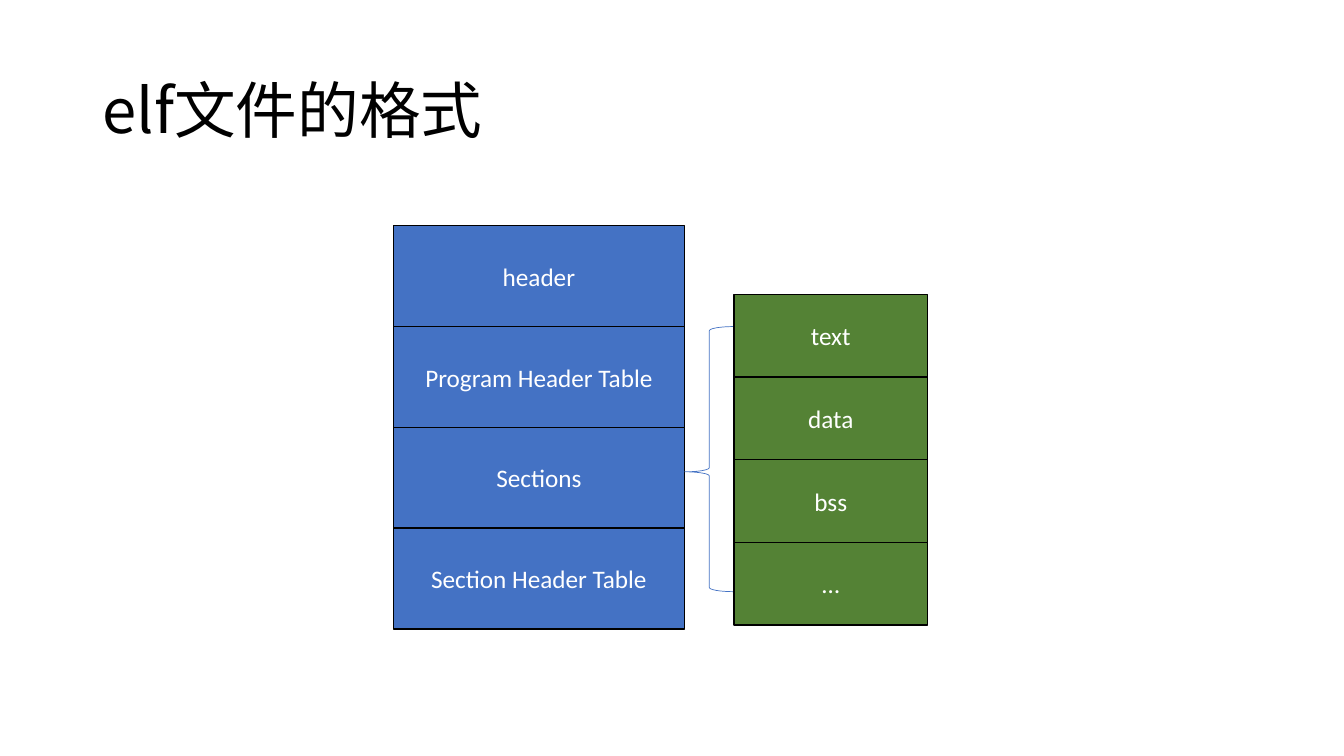
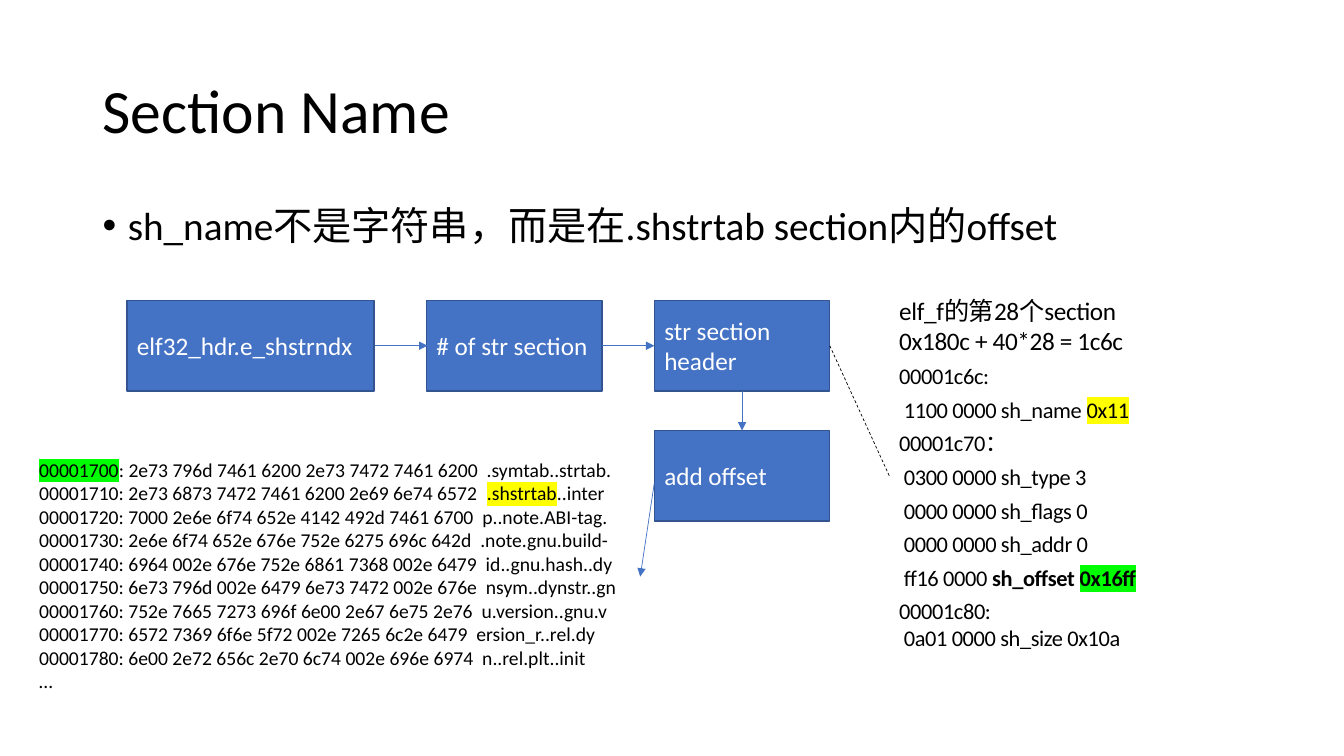
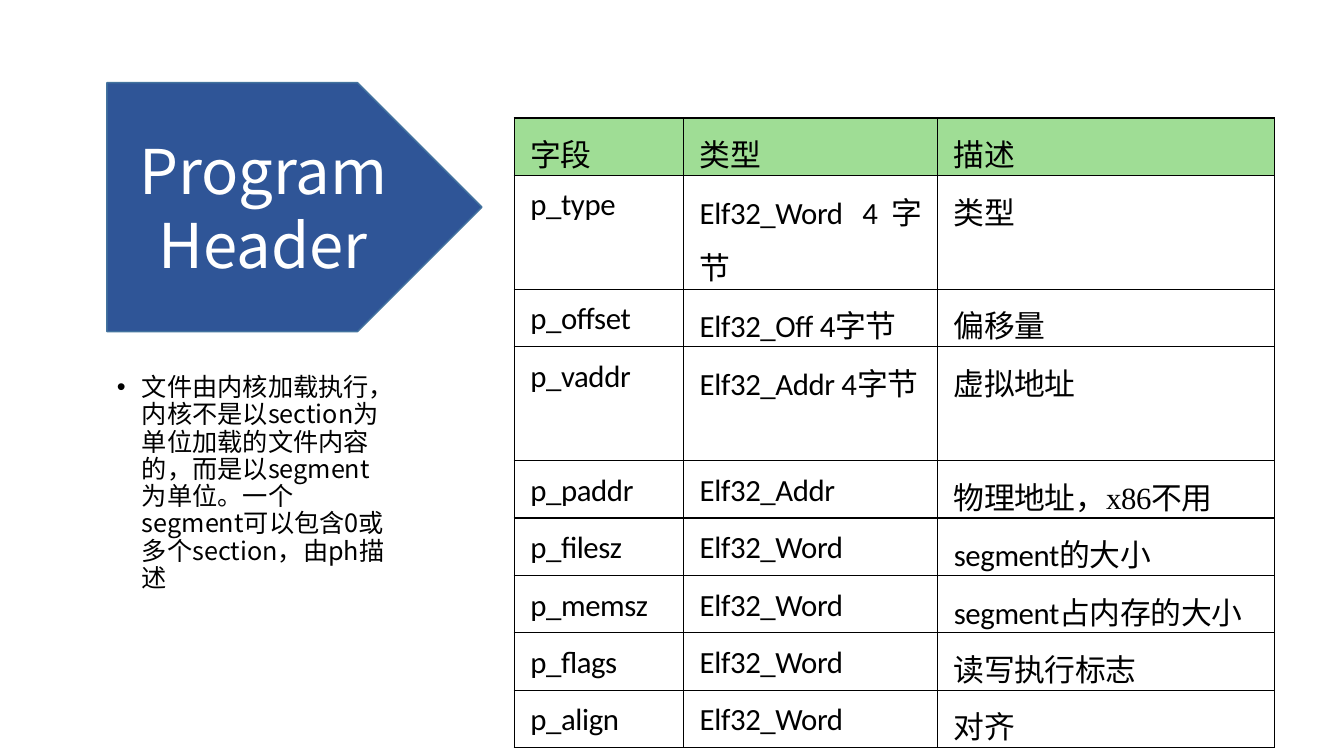
from lxml import etree
from pptx import Presentation
from pptx.dml.color import RGBColor
from pptx.enum import dml, shapes, text
from pptx.oxml import ns
from pptx.util import Inches, Pt

BLACK = RGBColor(0, 0, 0)
WHITE = RGBColor(255, 255, 255)
BLUE = RGBColor(0x44, 0x72, 0xC4)
BLUE_EDGE = RGBColor(0x32, 0x54, 0x91)
NAVY = RGBColor(0x2F, 0x55, 0x97)
NAVY_EDGE = RGBColor(0x43, 0x73, 0x9E)
GREEN = RGBColor(0x54, 0x82, 0x35)
HEADER_GREEN = RGBColor(0x9F, 0xDD, 0x95)
YELLOW = RGBColor(255, 255, 0)
LIME = RGBColor(0, 255, 0)

LATIN = "Calibri"
CJK = "Noto Sans CJK SC"
SERIF = "Times New Roman"
TIGHT = -0.25

LEFT, CENTER, JUSTIFY = text.PP_ALIGN.LEFT, text.PP_ALIGN.CENTER, text.PP_ALIGN.JUSTIFY
TOP, MIDDLE = text.MSO_ANCHOR.TOP, text.MSO_ANCHOR.MIDDLE
SHAPE = shapes.MSO_SHAPE


def add_node(parent, tag, **attributes):
    return etree.SubElement(parent, ns.qn(tag), attributes)


def add_run(paragraph, content, size=18, font=LATIN, color=BLACK, bold=False,
            highlight=None, tracking=0):
    run = paragraph.add_run()
    run.text = content
    run.font.size = Pt(size)
    run.font.bold = bold
    run.font.name = font
    run.font.color.rgb = color
    properties = run.font._element
    add_node(properties, "a:ea", typeface=CJK)
    if tracking:
        properties.set("spc", str(round(tracking * 100)))
    if highlight is not None:
        mark = etree.Element(ns.qn("a:highlight"))
        add_node(mark, "a:srgbClr", val=str(highlight))
        properties.find(ns.qn("a:solidFill")).addnext(mark)


def write_paragraph(paragraph, runs, align=LEFT, spacing=1.0, before=0, bullet=False, **style):
    paragraph.alignment = align
    paragraph.line_spacing = spacing
    paragraph.space_before = Pt(before)
    if bullet:
        properties = paragraph._p.get_or_add_pPr()
        properties.set("marL", str(Inches(0.25)))
        properties.set("indent", str(-Inches(0.25)))
        add_node(properties, "a:buFont", typeface="Arial")
        add_node(properties, "a:buChar", char="•")
    for run in [runs] if isinstance(runs, str) else runs:
        content, extra = (run, {}) if isinstance(run, str) else run
        add_run(paragraph, content, **{**style, **extra})


def write_text(frame, paragraphs, anchor=TOP, **style):
    frame.word_wrap = True
    frame.vertical_anchor = anchor
    for index, item in enumerate(paragraphs):
        runs, extra = item if isinstance(item, tuple) else (item, {})
        paragraph = frame.add_paragraph() if index else frame.paragraphs[0]
        write_paragraph(paragraph, runs, **{**style, **extra})


class Deck:
    def __init__(self):
        self.presentation = Presentation()
        self.presentation.slide_width = Inches(13.33)
        self.presentation.slide_height = Inches(7.5)
        self.slide = None

    def new_slide(self, title=None, font=LATIN):
        self.slide = self.presentation.slides.add_slide(self.presentation.slide_layouts[6])
        if title:
            self.text_box((0.92, 0.4, 11.5, 1.45), [title], size=44, font=font,
                          spacing=0.9, anchor=MIDDLE)

    def text_box(self, box, paragraphs, **style):
        shape = self.slide.shapes.add_textbox(*map(Inches, box))
        write_text(shape.text_frame, paragraphs, **style)

    def shape(self, box, kind=SHAPE.RECTANGLE, label=None, fill=None, line=BLACK,
              width=1, adjustments=(), **style):
        shape = self.slide.shapes.add_shape(kind, *map(Inches, box))
        shape.shadow.inherit = False
        if fill is None:
            shape.fill.background()
        else:
            shape.fill.solid()
            shape.fill.fore_color.rgb = fill
        shape.line.color.rgb = line
        shape.line.width = Pt(width)
        for index, value in enumerate(adjustments):
            shape.adjustments[index] = value
        if label:
            write_text(shape.text_frame, [label], anchor=MIDDLE, color=WHITE, **style)

    def stack(self, left, top, width, height, labels, fill):
        for index, label in enumerate(labels):
            self.shape((left, top + index * height, width, height), label=label,
                       fill=fill, align=CENTER)

    def line(self, start, end, color=BLUE, arrow=True, dash=None):
        connector = self.slide.shapes.add_connector(
            shapes.MSO_CONNECTOR.STRAIGHT, *map(Inches, (*start, *end)))
        connector.line.color.rgb = color
        connector.line.width = Pt(0.5)
        if dash:
            connector.line.dash_style = dash
        if arrow:
            add_node(connector.line._get_or_add_ln(), "a:tailEnd", type="triangle")
        add_node(connector._element.spPr, "a:effectLst")

    def table(self, left, top, column_widths, row_heights, rows):
        box = (left, top, sum(column_widths), sum(row_heights))
        frame = self.slide.shapes.add_table(len(rows), len(column_widths), *map(Inches, box))
        table = frame.table
        table.first_row = table.horz_banding = False
        for column, width in zip(table.columns, column_widths):
            column.width = Inches(width)
        for row_index, values in enumerate(rows):
            table.rows[row_index].height = Inches(row_heights[row_index])
            for column_index, value in enumerate(values):
                self.cell(table.cell(row_index, column_index), value, header=row_index == 0)

    def cell(self, cell, value, header):
        cell.margin_left = cell.margin_right = Inches(0.16)
        cell.margin_top, cell.margin_bottom = Inches(0.02), 0
        for side in ("a:lnL", "a:lnR", "a:lnT", "a:lnB"):
            border = add_node(cell._tc.get_or_add_tcPr(), side, w=str(Pt(1)))
            add_node(add_node(border, "a:solidFill"), "a:srgbClr", val=str(BLACK))
        if header:
            cell.fill.solid()
            cell.fill.fore_color.rgb = HEADER_GREEN
        else:
            cell.fill.background()
        write_paragraph(cell.text_frame.paragraphs[0], value, align=JUSTIFY, spacing=1.25,
                        size=22, tracking=TIGHT, font=LATIN if value[0].isascii() else SERIF)


def build_file_format(deck):
    deck.new_slide("elf文件的格式", font=CJK)
    deck.stack(3.9, 2.24, 2.89, 1,
               ["header", "Program Header Table", "Sections", "Section Header Table"], BLUE)
    deck.shape((6.79, 3.24, 0.49, 2.63), SHAPE.LEFT_BRACE, line=BLUE, width=0.5,
               adjustments=(0.083, 0.548))
    deck.stack(7.28, 2.92, 1.92, 0.82, ["text", "data", "bss", "…"], GREEN)


def build_section_name(deck):
    deck.new_slide("Section Name")
    deck.text_box((0.92, 2, 11.5, 0.64),
                  ["sh_name不是字符串，而是在.shstrtab section内的offset"],
                  size=28, spacing=0.9, before=10, bullet=True)

    steps = [
        (1.26, 2.98, 2.45, "elf32_hdr.e_shstrndx"),
        (4.23, 2.98, 1.74, "# of str section"),
        (6.49, 2.98, 1.74, "str section header"),
        (6.49, 4.27, 1.74, "add offset"),
    ]
    for left, top, width, label in steps:
        deck.shape((left, top, width, 0.9), label=label, fill=BLUE, line=BLUE_EDGE)

    header_fields = [
        "00001c6c:",
        [" 1100 0000 sh_name ", ("0x11", {"highlight": YELLOW})],
        "00001c70：",
        " 0300 0000 sh_type 3",
        " 0000 0000 sh_flags 0",
        " 0000 0000 sh_addr 0",
        [" ff16 0000 ", ("sh_offset ", {"bold": True}),
         ("0x16ff", {"bold": True, "highlight": LIME})],
        "00001c80:",
    ]
    field_style = {"size": 16, "align": JUSTIFY, "spacing": 1.25}
    deck.text_box((8.82, 2.88, 2.57, 3.67), [
        "elf_f的第28个section",
        "0x180c + 40*28 = 1c6c",
        *((field, field_style) for field in header_fields),
        (" 0a01 0000 sh_size 0x10a", {"size": 16}),
    ], tracking=TIGHT)

    deck.text_box((0.29, 4.49, 6.06, 2.46), [
        [("00001700", {"highlight": LIME}),
         ": 2e73 796d 7461 6200 2e73 7472 7461 6200  .symtab..strtab."],
        ["00001710: 2e73 6873 7472 7461 6200 2e69 6e74 6572  ",
         (".shstrtab", {"highlight": YELLOW}), "..inter"],
        "00001720: 7000 2e6e 6f74 652e 4142 492d 7461 6700  p..note.ABI-tag.",
        "00001730: 2e6e 6f74 652e 676e 752e 6275 696c 642d  .note.gnu.build-",
        "00001740: 6964 002e 676e 752e 6861 7368 002e 6479  id..gnu.hash..dy",
        "00001750: 6e73 796d 002e 6479 6e73 7472 002e 676e  nsym..dynstr..gn",
        "00001760: 752e 7665 7273 696f 6e00 2e67 6e75 2e76  u.version..gnu.v",
        "00001770: 6572 7369 6f6e 5f72 002e 7265 6c2e 6479  ersion_r..rel.dy",
        "00001780: 6e00 2e72 656c 2e70 6c74 002e 696e 6974  n..rel.plt..init",
        "…",
    ], size=14)

    arrows = [
        ((3.72, 3.43), (4.24, 3.43)),
        ((5.97, 3.43), (6.49, 3.43)),
        ((7.36, 3.88), (7.36, 4.27)),
        ((6.49, 4.79), (6.35, 5.72)),
    ]
    for start, end in arrows:
        deck.line(start, end)
    deck.line((8.23, 3.43), (8.82, 4.72), color=BLACK, arrow=False,
              dash=dml.MSO_LINE.DASH)


def build_program_header(deck):
    deck.new_slide()
    deck.text_box((1.06, 3.67, 2.92, 2.65), [
        "文件由内核加载执行，内核不是以section为单位加载的文件内容的，"
        "而是以segment为单位。一个segment可以包含0或多个section，由ph描述",
    ], font=CJK, spacing=0.9, before=10, bullet=True)
    fields = [
        ("字段", "类型", "描述"),
        ("p_type", "Elf32_Word 4字节", "类型"),
        ("p_offset", "Elf32_Off 4字节", "偏移量"),
        ("p_vaddr", "Elf32_Addr 4字节", "虚拟地址"),
        ("p_paddr", "Elf32_Addr", "物理地址，x86不用"),
        ("p_filesz", "Elf32_Word", "segment的大小"),
        ("p_memsz", "Elf32_Word", "segment占内存的大小"),
        ("p_flags", "Elf32_Word", "读写执行标志"),
        ("p_align", "Elf32_Word", "对齐"),
    ]
    two_line_fields = ("p_type", "p_vaddr")
    row_heights = [1.13 if field[0] in two_line_fields else 0.57 for field in fields]
    deck.table(5.1, 1.17, (1.68, 2.52, 3.34), row_heights, fields)
    deck.shape((1.06, 0.82, 3.72, 2.47), SHAPE.PENTAGON, label="Program Header",
               fill=NAVY, line=NAVY_EDGE, size=44, font=CJK, align=CENTER)


def main():
    deck = Deck()
    build_file_format(deck)
    build_section_name(deck)
    build_program_header(deck)
    deck.presentation.save("out.pptx")


if __name__ == "__main__":
    main()
